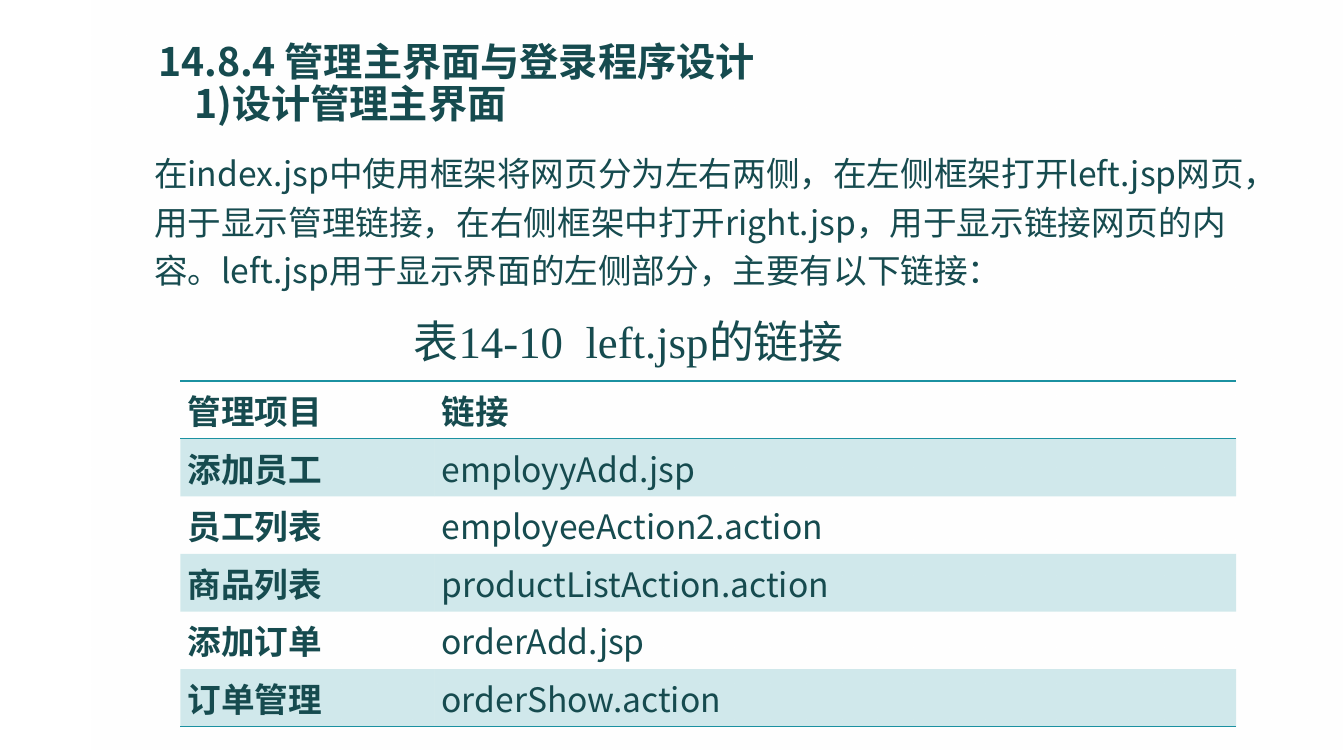
from dataclasses import dataclass

from lxml import etree
from pptx import Presentation
from pptx.dml.color import RGBColor
from pptx.enum.shapes import MSO_SHAPE
from pptx.enum.text import MSO_ANCHOR, PP_ALIGN
from pptx.oxml.ns import qn
from pptx.util import Inches, Pt

RECTANGLE = MSO_SHAPE.RECTANGLE
TOP, MIDDLE, BOTTOM = MSO_ANCHOR.TOP, MSO_ANCHOR.MIDDLE, MSO_ANCHOR.BOTTOM
LEFT, CENTER = PP_ALIGN.LEFT, PP_ALIGN.CENTER
PLAIN_TABLE_STYLE = "{2D5ABB26-0587-4C30-8999-92F81FD0307C}"

TITLE_LINES = [("14.8.4 管理主界面与登录程序设计", 0), ("1)设计管理主界面", 0.36)]
BODY = (
    "在index.jsp中使用框架将网页分为左右两侧，在左侧框架打开left.jsp网页，"
    "用于显示管理链接，在右侧框架中打开right.jsp，用于显示链接网页的内容。"
    "left.jsp用于显示界面的左侧部分，主要有以下链接："
)
CAPTION = "表14-10  left.jsp的链接"
LINK_ROWS = [
    ("管理项目", "链接"),
    ("添加员工", "employyAdd.jsp"),
    ("员工列表", "employeeAction2.action"),
    ("商品列表", "productListAction.action"),
    ("添加订单", "orderAdd.jsp"),
    ("订单管理", "orderShow.action"),
]


@dataclass(frozen=True)
class Theme:
    text: str = "164B4F"
    accent: str = "1B91A1"
    veil: str = "FFFFFF"
    veil_alphas: tuple = (60, 0)
    band_alpha: int = 20
    sans: str = "Noto Sans CJK SC"
    serif: str = "Times New Roman"
    title_size: int = 28
    body_size: int = 24
    caption_size: int = 32
    rule_width: int = 1


class SlideBuilder:
    def __init__(self, slide, theme):
        self.slide = slide
        self.theme = theme

    def style(self, paragraph, size, typeface, bold=False):
        font = paragraph.font
        font.size = Pt(size)
        font.bold = bold
        font.color.rgb = RGBColor.from_string(self.theme.text)
        font.name = typeface
        properties = paragraph._p.pPr.find(qn("a:defRPr"))
        etree.SubElement(properties, qn("a:ea"), typeface=self.theme.sans)

    def set_alpha(self, color, percent):
        etree.SubElement(color, qn("a:alpha"), val=str(percent * 1000))

    def veil(self, box):
        shape = self.slide.shapes.add_shape(RECTANGLE, *map(Inches, box))
        shape.shadow.inherit = False
        shape.line.fill.background()
        shape.fill.gradient()
        shape.fill.gradient_angle = 270
        for stop, position in zip(shape.fill.gradient_stops, (0, 1)):
            stop.position = position
            stop.color.rgb = RGBColor.from_string(self.theme.veil)
        colors = shape._element.spPr.iter(qn("a:srgbClr"))
        for color, percent in zip(list(colors), self.theme.veil_alphas):
            self.set_alpha(color, percent)

    def text(self, lines, box, size, typeface, bold=False, anchor=TOP,
             alignment=LEFT, line_spacing=1.0):
        shape = self.slide.shapes.add_textbox(*map(Inches, box))
        frame = shape.text_frame
        frame.word_wrap = True
        frame.vertical_anchor = anchor
        for index, (line, indent) in enumerate(lines):
            paragraph = frame.add_paragraph() if index else frame.paragraphs[0]
            paragraph.text = line
            paragraph.alignment = alignment
            paragraph.line_spacing = line_spacing
            self.style(paragraph, size, typeface, bold)
            paragraph._p.pPr.set("indent", str(Inches(indent)))
            paragraph._p.pPr.set("hangingPunct", "0")

    def border(self, cell, side):
        line = etree.SubElement(cell._tc.get_or_add_tcPr(), qn(f"a:{side}"),
                                w=str(Pt(self.theme.rule_width)))
        fill = etree.SubElement(line, qn("a:solidFill"))
        etree.SubElement(fill, qn("a:srgbClr"), val=self.theme.accent)

    def band(self, cell):
        cell.fill.solid()
        cell.fill.fore_color.rgb = RGBColor.from_string(self.theme.accent)
        color = cell._tc.tcPr.find(f"{qn('a:solidFill')}/{qn('a:srgbClr')}")
        self.set_alpha(color, self.theme.band_alpha)

    def table(self, rows, left, top, column_widths, height):
        frame = self.slide.shapes.add_table(
            len(rows), len(column_widths), Inches(left), Inches(top),
            Inches(sum(column_widths)), Inches(height))
        table = frame.table
        table._tbl.tblPr.find(qn("a:tableStyleId")).text = PLAIN_TABLE_STYLE
        table.horz_banding = False
        for column, width in zip(table.columns, column_widths):
            column.width = Inches(width)
        for row_index, values in enumerate(rows):
            table.rows[row_index].height = Inches(height / len(rows))
            for column_index, value in enumerate(values):
                cell = table.cell(row_index, column_index)
                cell.text = value
                cell.vertical_anchor = MIDDLE
                cell.margin_left = cell.margin_right = Inches(0.07)
                cell.margin_top = cell.margin_bottom = Inches(0.03)
                heading = row_index == 0 or column_index == 0
                self.style(cell.text_frame.paragraphs[0], self.theme.body_size,
                           self.theme.sans, heading)
                if row_index == 0:
                    self.border(cell, "lnT")
                if row_index in (0, len(rows) - 1):
                    self.border(cell, "lnB")
                if row_index % 2:
                    self.band(cell)
                else:
                    cell.fill.background()


def main():
    presentation = Presentation()
    presentation.slide_width = Inches(13.33)
    presentation.slide_height = Inches(7.5)
    slide = presentation.slides.add_slide(presentation.slide_layouts[6])
    theme = Theme()
    builder = SlideBuilder(slide, theme)
    builder.veil((0.91, 0, 12.41, 7.5))
    builder.text(TITLE_LINES, (1.47, 0.21, 10.5, 1.1), theme.title_size, theme.sans,
                 bold=True, anchor=BOTTOM, line_spacing=0.9)
    builder.text([(BODY, 0)], (1.43, 1.39, 11.38, 6.06), theme.body_size, theme.sans,
                 line_spacing=1.2)
    builder.text([(CAPTION, 0.25)], (3.2, 3.06, 5.82, 0.64), theme.caption_size,
                 theme.serif, alignment=CENTER)
    builder.table(LINK_ROWS, 1.79, 3.78, (2.52, 7.95), 3.43)
    presentation.save("out.pptx")


if __name__ == "__main__":
    main()
